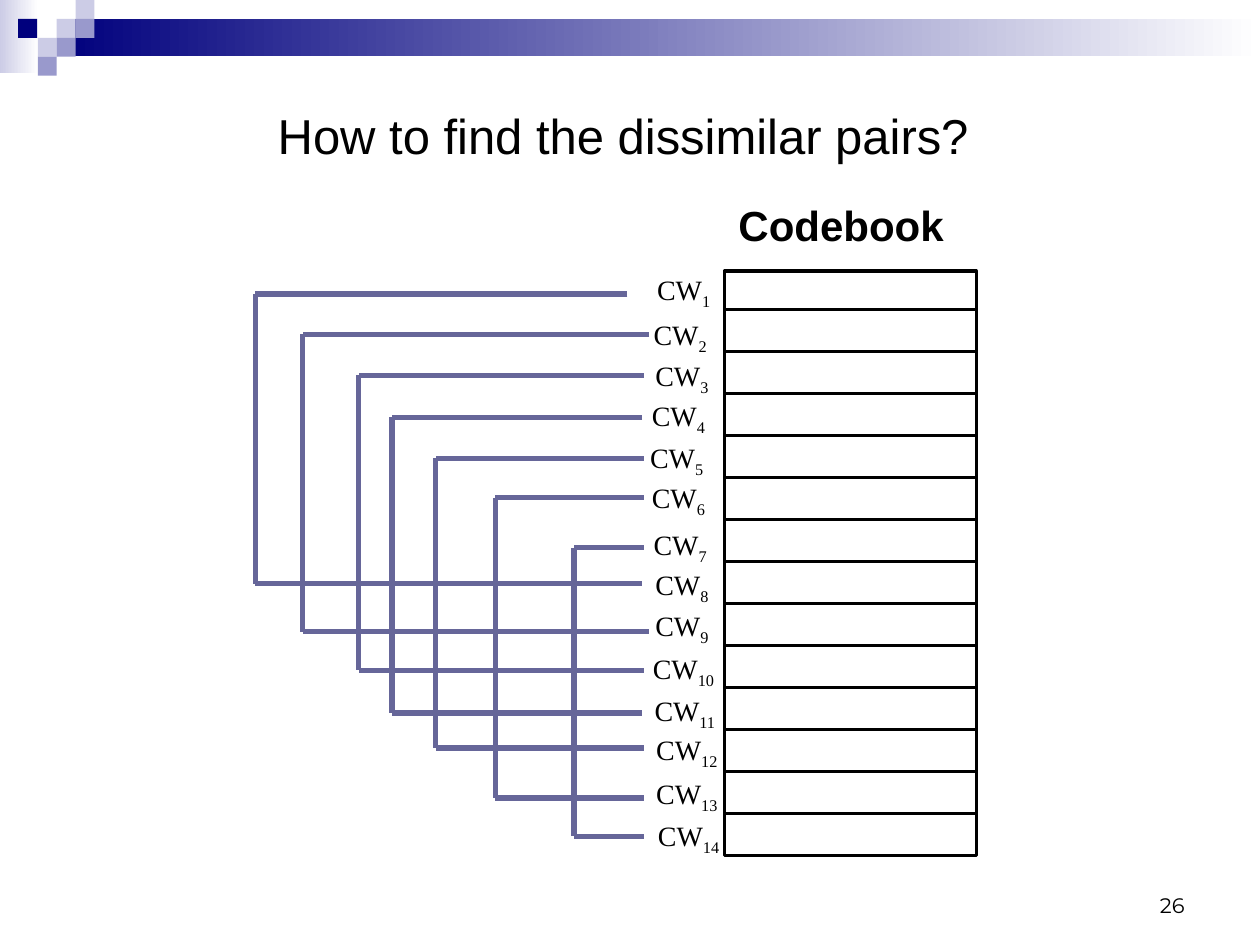
from pptx import Presentation
from pptx.dml.color import RGBColor
from pptx.enum.shapes import MSO_CONNECTOR, MSO_SHAPE
from pptx.enum.text import MSO_ANCHOR, PP_ALIGN
from pptx.oxml.ns import qn
from pptx.util import Pt
from lxml.etree import SubElement

theme = {
    "navy": RGBColor.from_string("00007D"),
    "mid": RGBColor.from_string("9999CC"),
    "pale": RGBColor.from_string("CCCCE6"),
    "link": RGBColor.from_string("666699"),
    "ink": RGBColor.from_string("000000"),
    "white": RGBColor.from_string("FFFFFF"),
    "title": {"name": "Arial", "size": Pt(28)},
    "head": {"name": "Arial", "size": Pt(24), "bold": True},
    "label": {"name": "Times New Roman", "size": Pt(16)},
    "page": {"name": "Montserrat", "size": Pt(12)},
}

deck = Presentation()
deck.slide_width, deck.slide_height = Pt(720), Pt(540)
slide = deck.slides.add_slide(deck.slide_layouts[6])
shapes = slide.shapes


def block(area, tint, fade=False, edge=None):
    rect = shapes.add_shape(MSO_SHAPE.RECTANGLE, *map(Pt, area))
    rect.shadow.inherit = False
    if fade:
        rect.fill.gradient()
        rect.fill.gradient_angle = 0
        for stop, color in zip(rect.fill.gradient_stops, (tint, "white")):
            stop.color.rgb = theme[color]
    else:
        rect.fill.solid()
        rect.fill.fore_color.rgb = theme[tint]
    if edge:
        rect.line.color.rgb = theme["ink"]
        rect.line.width = Pt(edge)
    else:
        rect.line.fill.background()


def write(area, text, style, pad=(0, 0), sub="",
          align=PP_ALIGN.LEFT, anchor=MSO_ANCHOR.TOP):
    frame = shapes.add_textbox(*map(Pt, area)).text_frame
    side, edge = map(Pt, pad)
    form = {
        "margin_left": side, "margin_top": edge, "margin_right": side,
        "margin_bottom": edge, "word_wrap": True, "vertical_anchor": anchor,
    }
    for key, value in form.items():
        setattr(frame, key, value)
    para = frame.paragraphs[0]
    para.alignment = align
    for part in filter(None, (text, sub)):
        run = para.add_run()
        run.text = part
        for key, value in theme[style].items():
            setattr(run.font, key, value)
        run.font.color.rgb = theme["ink"]
    if sub:
        run._r.get_or_add_rPr().set("baseline", "-25000")


block((0, 0, 22, 42), "pale", fade=True)
block((32.4, 10.8, 687.6, 21.4), "navy", fade=True)
tiles = [
    (32.4, 10.8, "pale"), (43.2, 0, "pale"), (43.2, 10.8, "mid"),
    (21.6, 21.6, "pale"), (10.4, 10.8, "navy"), (32.4, 21.6, "mid"),
    (21.6, 32.4, "mid"),
]
for x, y, tint in tiles:
    block((x, y, 10.8, 10.8), tint)

write((516, 492, 168, 36), "26", "page", (7.2, 3.6),
      align=PP_ALIGN.RIGHT, anchor=MSO_ANCHOR.BOTTOM)

pairs = [
    (146, 168, 333.5, 358.5, 367), (173, 191, 361, 371, 371),
    (205, 214.5, 383, 368, 368), (224, 238.5, 407.5, 367, 367),
    (249, 262, 427.5, 368, 368), (283, 284.5, 456, 368, 368),
    (328, 313, 478, 368, 368),
]
for x, top, low, start, end in pairs:
    path = [(start, top), (x, top), (x, low), (end, low)]
    for a, b in zip(path, path[1:]):
        line = shapes.add_connector(MSO_CONNECTOR.STRAIGHT, *map(Pt, a + b))
        line.line.color.rgb = theme["link"]
        line.line.width = Pt(3)
        SubElement(line._element.spPr, qn("a:effectLst"))

write((151.5, 57, 409, 41), "How to find the dissimilar pairs?", "title",
      (7.2, 3.6), align=PP_ALIGN.CENTER)

block((414, 155, 144, 24), "white", edge=2)
for row in range(13):
    block((414, 176.9 + 24 * row, 144, 24), "white", edge=2)

write((422, 114, 120, 29), "Codebook", "head")

spots = [
    (375.5, 155.5), (373.5, 181.5), (374.5, 205), (372.5, 228),
    (371.5, 251.5), (372.5, 274.5), (373.5, 301.5), (374.5, 324.5),
    (374.5, 348), (373, 372.5), (374, 396.5), (375, 418.5),
    (375, 443.5), (376, 467.5),
]
for num, (x, y) in enumerate(spots, 1):
    wide = 32 if num < 10 else 37
    write((x, y, wide, 21.6), "CW", "label", sub=str(num))

deck.save("out.pptx")
